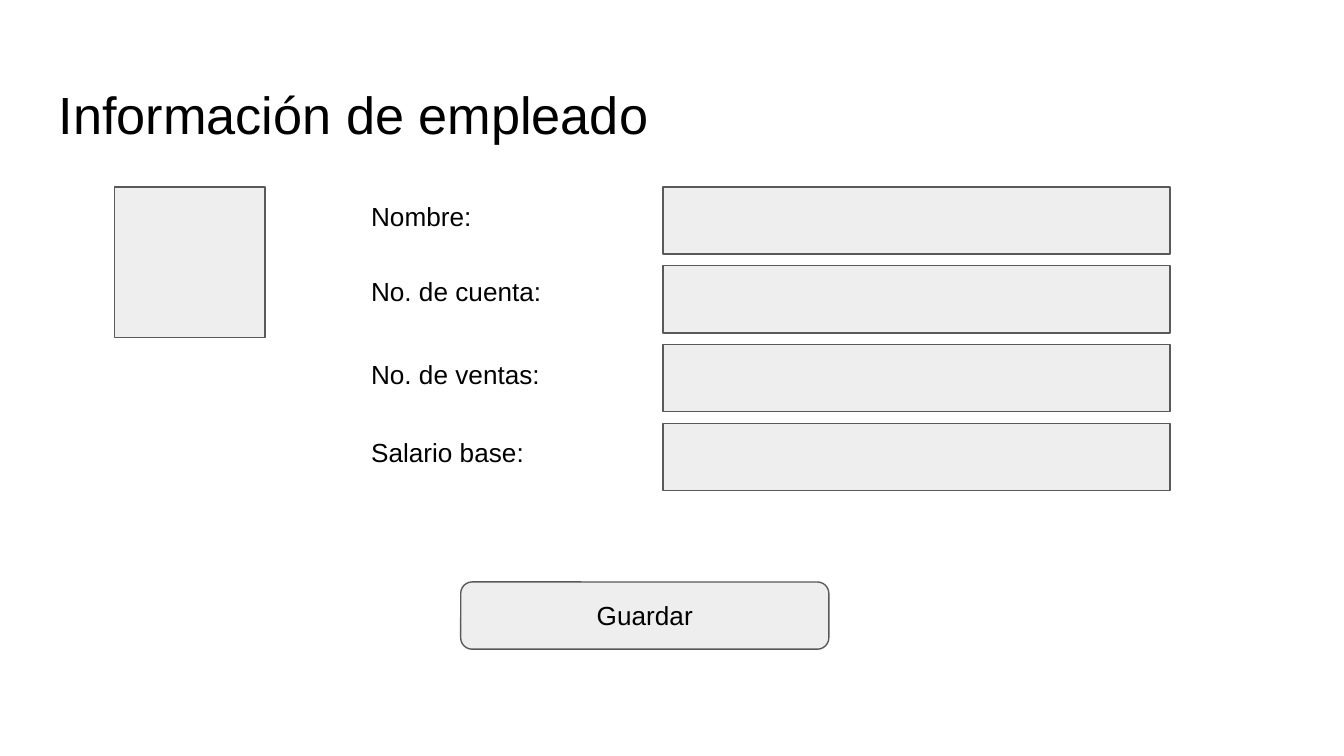
"""Build the employee information form slide."""
from pptx import Presentation
from pptx.dml.color import RGBColor
from pptx.enum.shapes import MSO_SHAPE
from pptx.enum.text import MSO_ANCHOR, PP_ALIGN
from pptx.util import Pt

RECT, ROUNDED = MSO_SHAPE.RECTANGLE, MSO_SHAPE.ROUNDED_RECTANGLE
TOP, MIDDLE = MSO_ANCHOR.TOP, MSO_ANCHOR.MIDDLE
LEFT, CENTER = PP_ALIGN.LEFT, PP_ALIGN.CENTER
BLACK = RGBColor(0x00, 0x00, 0x00)
GRAY = RGBColor(0xEE, 0xEE, 0xEE)
OUTLINE = RGBColor(0x59, 0x59, 0x59)

FORM_TOP = 100.2
ROW_PITCH = 42.2
ROW_HEIGHT = 36
INSET = 7.2
ROWS = [
    ("Nombre:", 100.2, 100),
    ("No. de cuenta:", 132.5, 140.4),
    ("No. de ventas:", 108, 184.6),
    ("Salario base:", 100.2, 226.8),
]


def write(sp, text, size, align=LEFT, anchor=TOP, top_inset=INSET):
    tf = sp.text_frame
    tf.word_wrap = True
    tf.vertical_anchor = anchor
    tf.margin_left = tf.margin_right = tf.margin_bottom = Pt(INSET)
    tf.margin_top = Pt(top_inset)
    p = tf.paragraphs[0]
    p.alignment = align
    r = p.add_run()
    r.text = text
    r.font.name = "Arial"
    r.font.size = Pt(size)
    r.font.color.rgb = BLACK


def add_label(s, text, size, x, y, w, h, top_inset=INSET):
    sp = s.shapes.add_textbox(Pt(x), Pt(y), Pt(w), Pt(h))
    write(sp, text, size, top_inset=top_inset)


def add_box(s, kind, x, y, w, h):
    sp = s.shapes.add_shape(kind, Pt(x), Pt(y), Pt(w), Pt(h))
    sp.shadow.inherit = False
    sp.fill.solid()
    sp.fill.fore_color.rgb = GRAY
    sp.line.color.rgb = OUTLINE
    sp.line.width = Pt(0.75)
    return sp


def add_button(s, text, x, y, w, h):
    sp = add_box(s, ROUNDED, x, y, w, h)
    sp.adjustments[0] = 0.17
    write(sp, text, 14, CENTER, MIDDLE)


def main():
    prs = Presentation()
    prs.slide_width, prs.slide_height = Pt(720), Pt(405)
    s = prs.slides.add_slide(prs.slide_layouts[6])
    add_label(s, "Información de empleado", 28, 24.5, 35.3, 671, 45.1, top_inset=9)
    add_box(s, RECT, 61.3, FORM_TOP, 80.7, 80.7)
    for i, (text, width, label_top) in enumerate(ROWS):
        add_box(s, RECT, 355.2, FORM_TOP + i * ROW_PITCH, 271.6, ROW_HEIGHT)
        add_label(s, text, 14, 191.7, label_top, width, ROW_HEIGHT)
    add_button(s, "Guardar", 246.8, 311.8, 197.2, ROW_HEIGHT)
    prs.save("out.pptx")


if __name__ == "__main__":
    main()
